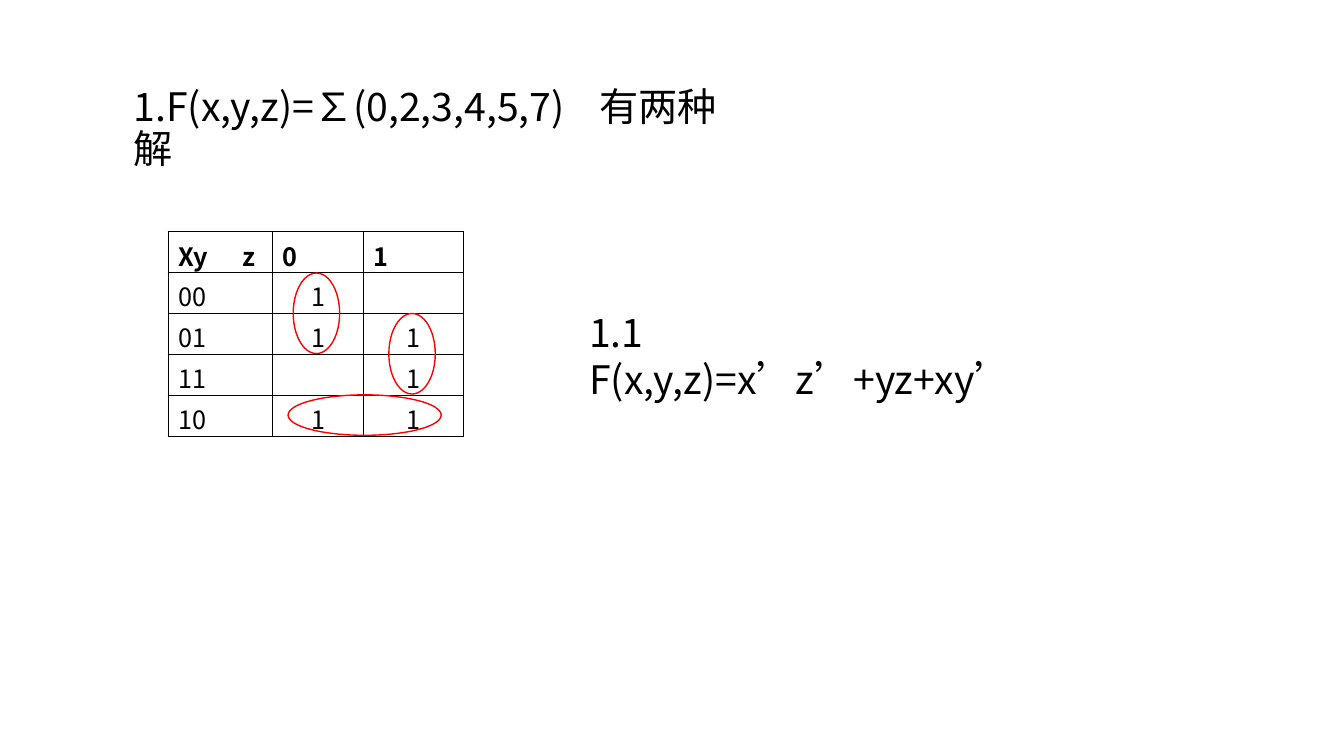
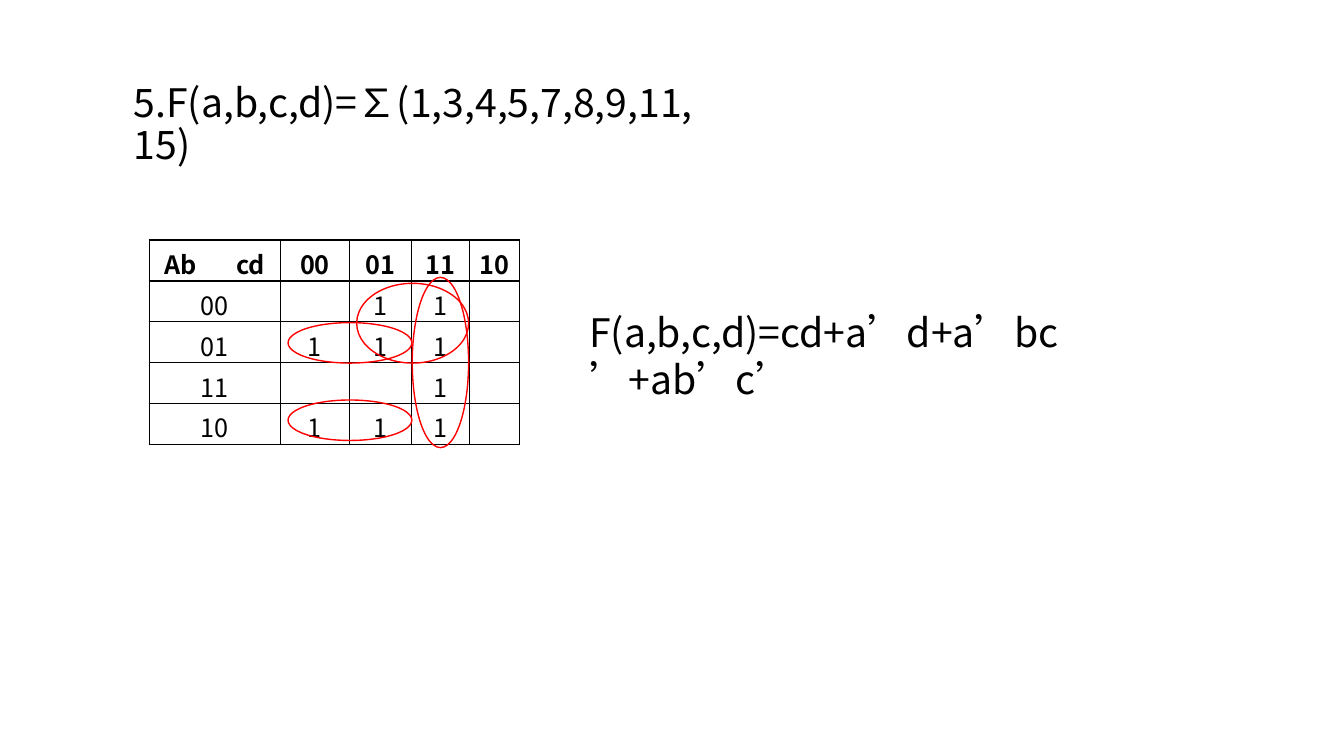
from pptx import Presentation
from pptx.util import Cm, Pt
from pptx.dml.color import RGBColor as Rgb
from pptx.enum.shapes import MSO_SHAPE as Shape
from pptx.enum.text import PP_ALIGN as Align
from pptx.oxml.xmlchemy import OxmlElement as Node

INK = {"text": "000000", "grid": "000000", "loop": "FF0000", "page": "FFFFFF"}
FONT = "Noto Sans CJK SC"
ROW = 1.03


def add(parent, tag, **attrs):
    """Append an XML child with the given attributes and return it."""
    node = Node(tag)
    for key, val in attrs.items():
        node.set(key, str(val))
    parent.append(node)
    return node


def write(frame, text, size, bold=False, align=Align.LEFT, tab=None):
    """Fill a text frame with one styled paragraph."""
    para = frame.paragraphs[0]
    para.text = text
    para.alignment = align
    if tab:
        stops = add(para._p.get_or_add_pPr(), "a:tabLst")
        add(stops, "a:tab", pos=int(Cm(tab)), algn="l")
    for run in para.runs:
        font = run.font
        font.name, font.size, font.bold = FONT, Pt(size), bold
        font.color.rgb = Rgb.from_string(INK["text"])
        add(run._r.get_or_add_rPr(), "a:ea", typeface=FONT)
    return para


def label(slide, box, text, tab=None, space=None):
    """Place a large line of text in a box."""
    frame = slide.shapes.add_textbox(*map(Cm, box)).text_frame
    frame.word_wrap = True
    para = write(frame, text, 28, tab=tab)
    if space:
        para.line_spacing = space


def title(slide, top, width, text, tab=None):
    """Place the problem statement at the top of a slide."""
    label(slide, (3.12, top, width, 1.35), text, tab, 0.9)


def answer(slide, width, text):
    """Place the solved function beside the map."""
    label(slide, (14.6, 7.65, width, 1.45), text)


def border(cell):
    """Draw a thin line on all four sides of a cell and clear its fill."""
    props = cell._tc.get_or_add_tcPr()
    for side in "LRTB":
        line = add(props, f"a:ln{side}", w=int(Pt(1)))
        add(add(line, "a:solidFill"), "a:srgbClr", val=INK["grid"])
    cell.fill.background()


def loop(slide, box):
    """Draw one red ring around grouped cells."""
    ring = slide.shapes.add_shape(Shape.OVAL, *map(Cm, box))
    ring.shadow.inherit = False
    ring.fill.background()
    ring.line.color.rgb = Rgb.from_string(INK["loop"])
    ring.line.width = Pt(1)


def kmap(slide, left, top, cols, rows, loops, tab, inset, align):
    """Draw a Karnaugh map with its rings relative to its corner."""
    box = left, top, sum(cols), ROW * len(rows)
    table = slide.shapes.add_table(len(rows), len(cols), *map(Cm, box)).table
    table.horz_banding = False
    for col, width in zip(table.columns, cols):
        col.width = Cm(width)
    for r, row in enumerate(rows):
        table.rows[r].height = Cm(ROW)
        for c, text in enumerate(row):
            cell = table.cell(r, c)
            border(cell)
            corner = r == c == 0
            if corner:
                cell.margin_left = Cm(inset)
            side = Align.CENTER if r and c else align
            write(cell.text_frame, text, 18, r == 0,
                  Align.LEFT if corner else side, tab if corner else None)
    for x, y, width, height in loops:
        loop(slide, (left + x, top + y, width, height))


def three(slide):
    """Build the slide for three variables."""
    title(slide, 2.08, 15.39, "1.F(x,y,z)=∑(0,2,3,4,5,7)\t有两种解", 11.74)
    rows = [("Xy\tz", "0", "1"), ("00", "1", ""), ("01", "1", "1"),
            ("11", "", "1"), ("10", "1", "1")]
    loops = [(3.15, 1.04, 1.17, 2.03), (5.56, 2.06, 1.17, 2.03),
             (3.02, 4.11, 3.86, 1.02)]
    kmap(slide, 4.24, 5.84, (2.62, 2.31, 2.51), rows, loops,
         1.61, 0.25, Align.LEFT)
    answer(slide, 11.38, "1.1\vF(x,y,z)=x’z’+yz+xy’")


def four(slide):
    """Build the slide for four variables."""
    title(slide, 1.98, 14.83, "5.F(a,b,c,d)=∑(1,3,4,5,7,8,9,11,15)")
    rows = [("Ab\tcd", "00", "01", "11", "10"), ("00", "", "1", "1", ""),
            ("01", "1", "1", "1", ""), ("11", "", "", "1", ""),
            ("10", "1", "1", "1", "")]
    loops = [(6.63, 0.94, 1.42, 4.29), (5.23, 1.09, 2.82, 2.01),
             (3.5, 2.08, 3.12, 1.02), (3.5, 4.03, 3.12, 1.02)]
    kmap(slide, 3.76, 6.05, (3.3, 1.75, 1.57, 1.45, 1.27), rows, loops,
         1.81, 0.38, Align.CENTER)
    answer(slide, 13.23, "F(a,b,c,d)=cd+a’d+a’bc’+ab’c’")


def main():
    """Build and save the deck."""
    deck = Presentation()
    deck.slide_width, deck.slide_height = Cm(33.87), Cm(19.05)
    for build in (three, four):
        slide = deck.slides.add_slide(deck.slide_layouts[6])
        fill = slide.background.fill
        fill.solid()
        fill.fore_color.rgb = Rgb.from_string(INK["page"])
        build(slide)
    deck.save("out.pptx")


if __name__ == "__main__":
    main()
